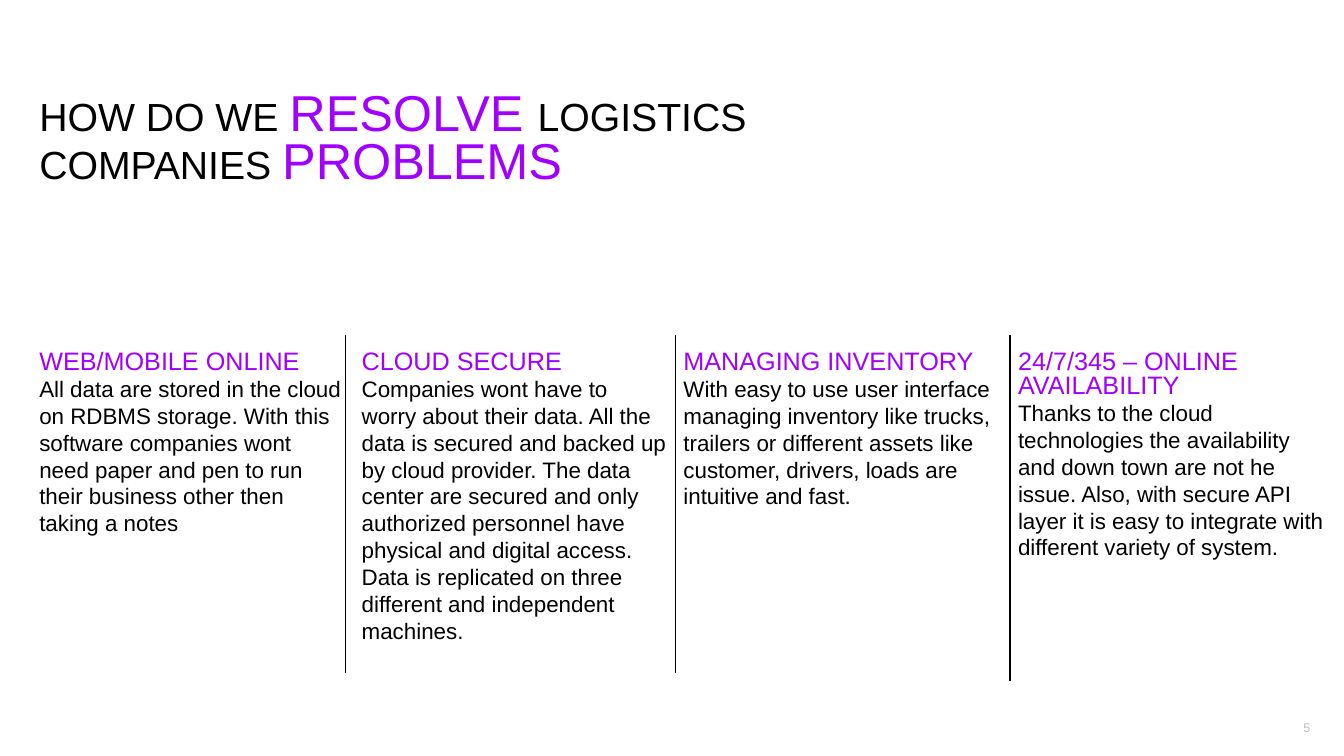
from dataclasses import dataclass

from lxml import etree
from pptx import Presentation
from pptx.dml.color import RGBColor
from pptx.enum.shapes import MSO_CONNECTOR
from pptx.enum.text import MSO_ANCHOR, PP_ALIGN
from pptx.oxml.ns import qn
from pptx.util import Pt

STRAIGHT = MSO_CONNECTOR.STRAIGHT
TOP, MIDDLE = MSO_ANCHOR.TOP, MSO_ANCHOR.MIDDLE
LEFT, RIGHT = PP_ALIGN.LEFT, PP_ALIGN.RIGHT


@dataclass(frozen=True)
class Theme:
    font: str = "Arial"
    ink: RGBColor = RGBColor(0x00, 0x00, 0x00)
    accent: RGBColor = RGBColor(0xA1, 0x00, 0xFF)
    muted: RGBColor = RGBColor(0xBE, 0xBE, 0xBE)
    title: int = 28
    emphasis: int = 36
    heading: int = 18
    body: int = 16
    number: int = 9


THEME = Theme()
MARGIN = 28.1
COLUMN_TOP = 243.4
DIVIDER_TOP = 239
TEXT_INSETS = (0, 7.2, 0, 3.6)

TITLE = [
    ("HOW DO WE ", False),
    ("RESOLVE ", True),
    ("LOGISTICS COMPANIES ", False),
    ("PROBLEMS", True),
]

COLUMNS = [
    (MARGIN, 218.2, 150.5, "WEB/MOBILE ONLINE",
     "All data are stored in the cloud on RDBMS storage. With this software "
     "companies wont need paper and pen to run their business other then "
     "taking a notes"),
    (258.4, 218.2, 281.5, "CLOUD SECURE",
     "Companies wont have to worry about their data. All the data is secured "
     "and backed up by cloud provider. The data center are secured and only "
     "authorized personnel have physical and digital access. Data is "
     "replicated on three different and independent machines."),
    (488.2, 227.5, 237.6, "MANAGING INVENTORY",
     "With easy to use user interface managing inventory like trucks, "
     "trailers or different assets like customer, drivers, loads are "
     "intuitive and fast."),
    (727.2, 218.2, 270.7, "24/7/345 – ONLINE AVAILABILITY",
     "Thanks to the cloud technologies the availability and down town are "
     "not he issue. Also, with secure API layer it is easy to integrate with "
     "different variety of system."),
]

DIVIDERS = [(247, 481), (482.4, 481), (721.4, 486.7)]


def add_box(page, left, top, width, height, insets=TEXT_INSETS, anchor=TOP):
    box = page.shapes.add_textbox(Pt(left), Pt(top), Pt(width), Pt(height))
    frame = box.text_frame
    frame.word_wrap = True
    frame.vertical_anchor = anchor
    (frame.margin_left, frame.margin_top,
     frame.margin_right, frame.margin_bottom) = map(Pt, insets)
    return frame


def format_para(para, align=LEFT, spacing=1.0, after=0):
    para.alignment = align
    para.line_spacing = spacing
    para.space_after = Pt(after)
    return para


def add_span(para, text, size=THEME.body, color=THEME.ink):
    span = para.add_run()
    span.text = text
    span.font.name = THEME.font
    span.font.size = Pt(size)
    span.font.color.rgb = color


def add_title(page):
    frame = add_box(page, MARGIN, 59, 507.6, 120.2)
    para = format_para(frame.paragraphs[0], spacing=0.8, after=6)
    for text, emphasized in TITLE:
        if emphasized:
            add_span(para, text, size=THEME.emphasis, color=THEME.accent)
        else:
            add_span(para, text, size=THEME.title)


def add_column(page, left, width, height, heading, body):
    frame = add_box(page, left, COLUMN_TOP, width, height)
    heading_para = format_para(frame.paragraphs[0], spacing=0.8)
    add_span(heading_para, heading, size=THEME.heading, color=THEME.accent)
    add_span(format_para(frame.add_paragraph(), after=6), body)


def add_divider(page, x, bottom):
    line = page.shapes.add_connector(
        STRAIGHT, Pt(x), Pt(DIVIDER_TOP), Pt(x), Pt(bottom))
    line.line.color.rgb = THEME.ink
    line.line.width = Pt(1)
    etree.SubElement(line._element.spPr, qn("a:effectLst"))


def add_page_number(page, number):
    frame = add_box(page, 909.4, 514.1, 26.6, 10.8,
                    insets=(0, 0, 0, 0), anchor=MIDDLE)
    para = format_para(frame.paragraphs[0], align=RIGHT)
    add_span(para, number, size=THEME.number, color=THEME.muted)


def main():
    deck = Presentation()
    deck.slide_width, deck.slide_height = Pt(960), Pt(540)
    page = deck.slides.add_slide(deck.slide_layouts[6])
    add_title(page)
    for column in COLUMNS:
        add_column(page, *column)
    for divider in DIVIDERS:
        add_divider(page, *divider)
    add_page_number(page, "5")
    deck.save("out.pptx")


if __name__ == "__main__":
    main()
